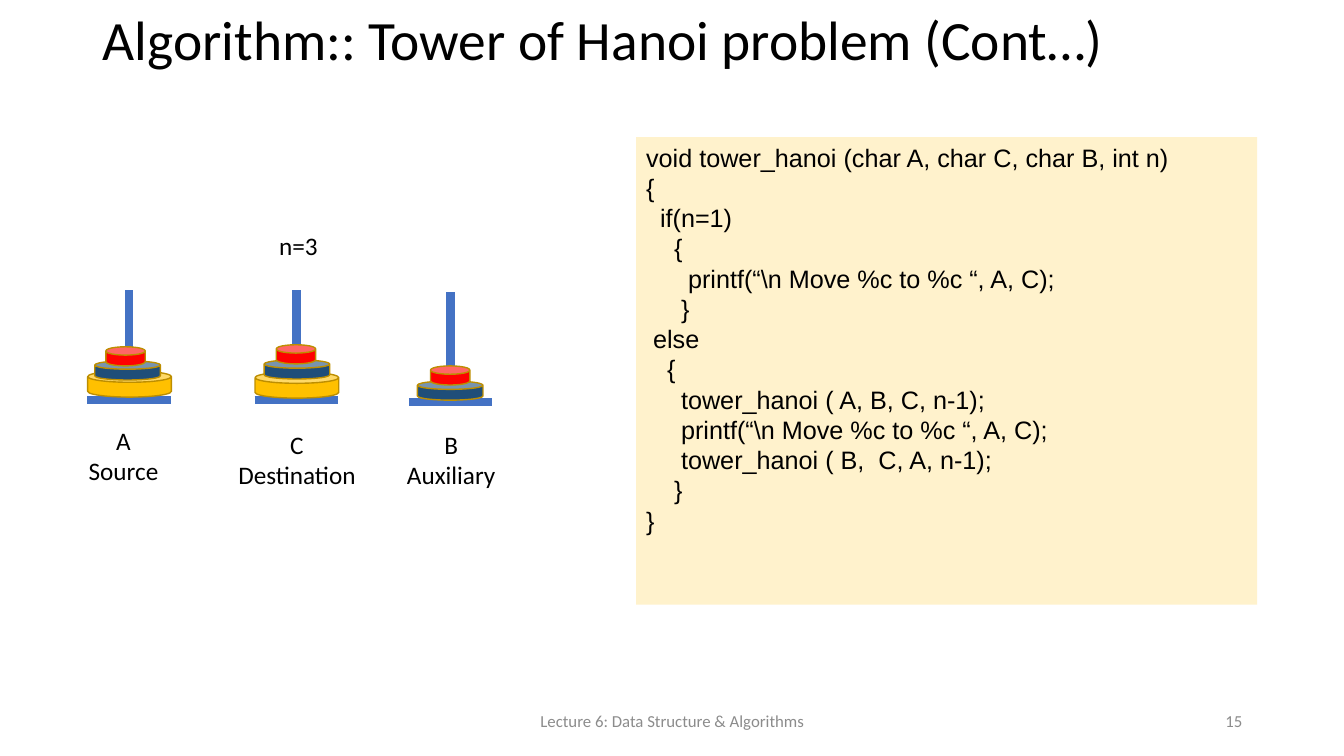
from lxml import etree
from pptx import Presentation
from pptx.dml.color import RGBColor
from pptx.enum.shapes import MSO_CONNECTOR, MSO_SHAPE
from pptx.enum.text import MSO_ANCHOR, MSO_AUTO_SIZE, PP_ALIGN
from pptx.oxml.ns import qn
from pptx.util import Inches, Pt

LEFT, CENTER, RIGHT, JUSTIFY = PP_ALIGN.LEFT, PP_ALIGN.CENTER, PP_ALIGN.RIGHT, PP_ALIGN.JUSTIFY
TOP, MIDDLE = MSO_ANCHOR.TOP, MSO_ANCHOR.MIDDLE
RECTANGLE, CAN = MSO_SHAPE.RECTANGLE, MSO_SHAPE.CAN
STRAIGHT = MSO_CONNECTOR.STRAIGHT

# Content
TITLE = "Algorithm:: Tower of Hanoi problem (Cont…)"
LECTURE = "Lecture 6: Data Structure & Algorithms"
PAGE = "15"
DISC_COUNT = "n=3"
CODE = r"""void tower_hanoi (char A, char C, char B, int n)
{
  if(n=1)
    {
      printf(“\n Move %c to %c “, A, C);
     }
 else
   {
     tower_hanoi ( A, B, C, n-1);
     printf(“\n Move %c to %c “, A, C);
     tower_hanoi ( B,  C, A, n-1);
    }
}"""

# Disc sizes: width, height, colour
DISCS = {"large": (0.83, 0.26, "gold"), "medium": (0.65, 0.19, "navy"),
         "small": (0.39, 0.19, "red")}

# Peg centre, peg top, label, label centre, label top, label width,
# then each disc's centre and top, from the bottom disc up
TOWERS = [
    (1.28, 2.88, "A\nSource", 1.225, 4.17, 1.09,
     {"large": (1.285, 3.68), "medium": (1.265, 3.58), "small": (1.245, 3.44)}),
    (2.94, 2.88, "C\nDestination", 2.945, 4.21, 1.39,
     {"large": (2.945, 3.69), "medium": (2.945, 3.57), "small": (2.935, 3.42)}),
    (4.47, 2.9, "B\nAuxiliary", 4.475, 4.21, 1.09,
     {"medium": (4.465, 3.78), "small": (4.465, 3.63)}),
]
PEG_HEIGHT, BASE_WIDTH = 1.09, 0.83

COLORS = {"text": "000000", "muted": "8C8C8C", "panel": "FFF2CC", "peg": "4472C4",
          "gold": "FFC000", "navy": "1F4E79", "red": "FF0000", "rim": "BD8E00"}


def color(name):
    return RGBColor.from_string(COLORS[name])


def write(shape, text, size=18, font="Calibri", ink="text", align=CENTER,
          anchor=TOP, spacing=None):
    frame = shape.text_frame
    frame.word_wrap = True
    frame.auto_size = MSO_AUTO_SIZE.NONE
    frame.vertical_anchor = anchor
    frame.text = text
    for paragraph in frame.paragraphs:
        paragraph.alignment = align
        paragraph.line_spacing = spacing
        paragraph.font.size = Pt(size)
        paragraph.font.name = font
        paragraph.font.color.rgb = color(ink)


def label(box, text, **text_format):
    write(slide.shapes.add_textbox(*map(Inches, box)), text, **text_format)


def block(kind, box, fill, rim=None):
    shape = slide.shapes.add_shape(kind, *map(Inches, box))
    shape.shadow.inherit = False
    shape.fill.solid()
    shape.fill.fore_color.rgb = color(fill)
    if rim:
        shape.line.color.rgb = color(rim)
        shape.line.width = Pt(1)
    else:
        shape.line.fill.background()
    return shape


def bar(*ends):
    line = slide.shapes.add_connector(STRAIGHT, *map(Inches, ends))
    line.line.color.rgb = color("peg")
    line.line.width = Pt(6)
    etree.SubElement(line.line._get_or_add_ln().getparent(), qn("a:effectLst"))


deck = Presentation()
deck.slide_width, deck.slide_height = Inches(13.33), Inches(7.5)
slide = deck.slides.add_slide(deck.slide_layouts[5])

# Title and footer
title = slide.shapes.title
title.left, title.top, title.width, title.height = map(Inches, (0.92, 0.15, 11.5, 0.55))
write(title, TITLE, size=39.6, align=LEFT, anchor=MIDDLE, spacing=0.9)
label((4.42, 6.95, 4.5, 0.4), LECTURE, size=12, ink="muted", anchor=MIDDLE)
label((9.42, 6.95, 3, 0.4), PAGE, size=12, ink="muted", align=RIGHT, anchor=MIDDLE)

# Code panel
panel = block(RECTANGLE, (6.31, 1.36, 6.16, 4.64), "panel")
write(panel, CODE, font="Arial", align=JUSTIFY)

# Towers
label((2.48, 2.24, 0.96, 0.4), DISC_COUNT)
for peg, top, name, name_center, name_top, name_width, stack in TOWERS:
    base = top + PEG_HEIGHT
    bar(peg, top, peg, base)
    bar(peg - BASE_WIDTH / 2, base, peg + BASE_WIDTH / 2, base)
    label((name_center - name_width / 2, name_top, name_width, 0.71), name)
    for disc, (center, disc_top) in stack.items():
        width, height, fill = DISCS[disc]
        can = block(CAN, (center - width / 2, disc_top, width, height), fill, "rim")
        can.adjustments[0] = 0.436

deck.save("out.pptx")
